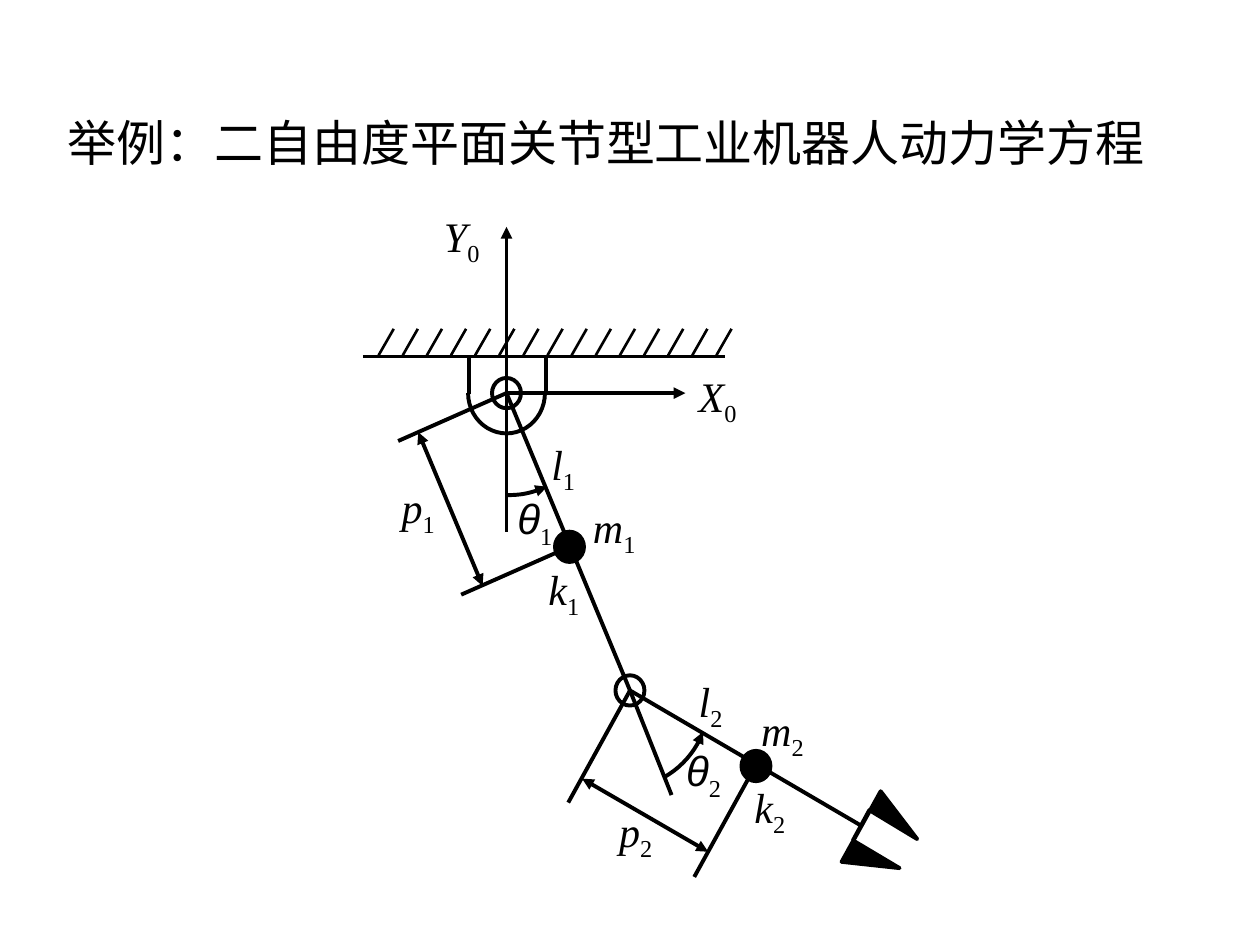
from dataclasses import dataclass

from lxml.etree import SubElement
from pptx import Presentation
from pptx.dml.color import RGBColor
from pptx.enum.shapes import MSO_CONNECTOR as Connector, MSO_SHAPE as Shape
from pptx.enum.text import PP_ALIGN as Align
from pptx.oxml.ns import qn
from pptx.util import Inches, Pt


@dataclass(frozen=True)
class Theme:
    ink: RGBColor = RGBColor(0, 0, 0)
    serif: str = "Times New Roman"
    sans: str = "Arial"
    title_size: float = 28
    label_size: float = 24
    thick: float = 2.25
    thin: float = 1.5


class Diagram:
    """Places elements on a grid of 100 columns by 75 rows."""

    COLUMNS, ROWS = 100, 75

    def __init__(self, deck, theme):
        self.theme = theme
        self.cell_width = deck.slide_width / self.COLUMNS
        self.cell_height = deck.slide_height / self.ROWS
        self.slide = deck.slides.add_slide(deck.slide_layouts[6])
        self.figure = self.slide.shapes.add_group_shape().shapes

    def place(self, column, row):
        return round(column * self.cell_width), round(row * self.cell_height)

    def box(self, left, top, width, height):
        return *self.place(left, top), *self.place(width, height)

    def outline(self, item, weight=None, head=False, tail=False):
        item.line.color.rgb = self.theme.ink
        item.line.width = Pt(weight or self.theme.thick)
        ln = item.element.spPr.find(qn("a:ln"))
        for tag, wanted in (("a:headEnd", head), ("a:tailEnd", tail)):
            if wanted:
                SubElement(ln, qn(tag), type="triangle")

    def line(self, start, end, weight=None, head=False, tail=False):
        link = self.figure.add_connector(
            Connector.STRAIGHT, *self.place(*start), *self.place(*end))
        self.outline(link, weight, head, tail)
        SubElement(link.element.spPr, qn("a:effectLst"))

    def finish(self, item, filled):
        item.shadow.inherit = False
        if filled:
            item.fill.solid()
            item.fill.fore_color.rgb = self.theme.ink
        else:
            item.fill.background()

    def circle(self, center, filled=False):
        width, height = 2.3, 2.4
        x, y = center
        dot = self.figure.add_shape(
            Shape.OVAL, *self.box(x - width / 2, y - height / 2, width, height))
        self.outline(dot)
        self.finish(dot, filled)

    def arc(self, center, radius, start, end, head=False):
        """Angles in degrees, clockwise from the right."""
        (x, y), (rx, ry) = center, radius
        curve = self.figure.add_shape(
            Shape.ARC, *self.box(x - rx, y - ry, 2 * rx, 2 * ry))
        # Stored in 60000ths of a degree; python-pptx scales by 100000.
        for i, angle in enumerate((start, end)):
            curve.adjustments[i] = angle * 0.6
        self.outline(curve, head=head)
        self.finish(curve, False)

    def polygon(self, points):
        first, *rest = [self.place(*point) for point in points]
        builder = self.figure.build_freeform(*first)
        builder.add_line_segments(rest, close=True)
        solid = builder.convert_to_shape()
        self.outline(solid)
        self.finish(solid, True)

    def run(self, paragraph, text, size, font, italic=False):
        piece = paragraph.add_run()
        piece.text = text
        piece.font.size = Pt(size)
        piece.font.name = font
        piece.font.italic = italic
        piece.font.color.rgb = self.theme.ink
        return piece

    def label(self, symbol, index, area):
        theme = self.theme
        frame = self.figure.add_textbox(*self.box(*area)).text_frame
        frame.word_wrap = True
        paragraph = frame.paragraphs[0]
        paragraph.alignment = Align.CENTER
        font = theme.sans if symbol == "θ" else theme.serif
        self.run(paragraph, symbol, theme.label_size, font, italic=True)
        subscript = self.run(paragraph, index, theme.label_size, theme.serif)
        subscript._r.get_or_add_rPr().set("baseline", "-25000")

    def title(self, text, area):
        frame = self.slide.shapes.add_textbox(*self.box(*area)).text_frame
        frame.word_wrap = False
        self.run(frame.paragraphs[0], text, self.theme.title_size, self.theme.serif)


LABELS = [
    ("l", "1", (40.6, 34.3, 8.2, 6.2)),
    ("k", "1", (41.1, 44.2, 7.3, 5.7)),
    ("m", "2", (57.5, 55.4, 9.2, 8)),
    ("k", "2", (57.6, 61.5, 7, 6.2)),
    ("m", "1", (44.8, 39.3, 7.9, 7.2)),
    ("θ", "2", (52.1, 58.6, 7.5, 6.2)),
    ("θ", "1", (39.2, 38.6, 6.5, 6)),
    ("p", "2", (46, 63.4, 8.9, 7.2)),
    ("l", "2", (52.3, 53.1, 8.2, 7.6)),
    ("p", "1", (28.7, 37.7, 9, 6.9)),
    ("X", "0", (52.9, 28.9, 8.1, 7)),
    ("Y", "0", (32, 16.2, 9.3, 7.6)),
]

SHOULDER, ELBOW = (40.2, 31.2), (50, 54.8)
MASS_1, MASS_2 = (45.2, 43.4), (60, 60.8)
WRIST = (68.3, 65.5)
CEILING = 28.3


def main():
    deck = Presentation()
    deck.slide_width, deck.slide_height = Inches(10), Inches(7.5)
    theme = Theme()
    robot = Diagram(deck, theme)

    for symbol, index, area in LABELS:
        robot.label(symbol, index, area)

    # Joint angles
    robot.arc(SHOULDER, (8.1, 8.1), 66.6, 90, head=True)
    robot.arc((49.26, 55.6), (7, 7), 20.9, 60.6, head=True)

    # Base axes
    robot.line((40.2, 42.2), (40.2, 18), tail=True)
    robot.line(SHOULDER, (54.4, 31.2), tail=True)

    # Hatched ceiling
    robot.line((28.8, CEILING), (57.5, CEILING), theme.thin)
    for stroke in range(15):
        foot = 30.05 + 1.915 * stroke
        robot.line((foot, 28.2), (foot + 1.2, 26.1), theme.thin)

    # Shoulder bracket
    robot.arc(SHOULDER, (3.05, 3.2), 0, 180)
    for side in (37.2, 43.3):
        robot.line((side, 31.3), (side, 28.2))

    # Links, joints and masses
    robot.line(SHOULDER, ELBOW)
    robot.line(ELBOW, (53.3, 63.1))
    robot.line(ELBOW, WRIST)
    for joint in (SHOULDER, ELBOW):
        robot.circle(joint)
    for mass in (MASS_1, MASS_2):
        robot.circle(mass, filled=True)

    # Dimensions p1 and p2
    for far, near in (((31.6, 35), SHOULDER), ((36.6, 47.2), MASS_1),
                      ((45.1, 63.7), ELBOW), ((55.1, 69.6), (60, 60.7))):
        robot.line(far, near)
    for start, end in (((33.2, 34.3), (38.3, 46.5)),
                       ((46.2, 61.8), (56.2, 67.6))):
        robot.line(start, end, head=True, tail=True)

    # Gripper
    robot.polygon([(72.8, 66.6), (69.9, 62.8), (66.8, 68.4),
                   (71.4, 68.9), (67.7, 66.7), (69, 64.3)])

    robot.title("举例：二自由度平面关节型工业机器人动力学方程", (4.4, 8.4, 87.4, 5.7))
    deck.save("out.pptx")


if __name__ == "__main__":
    main()
